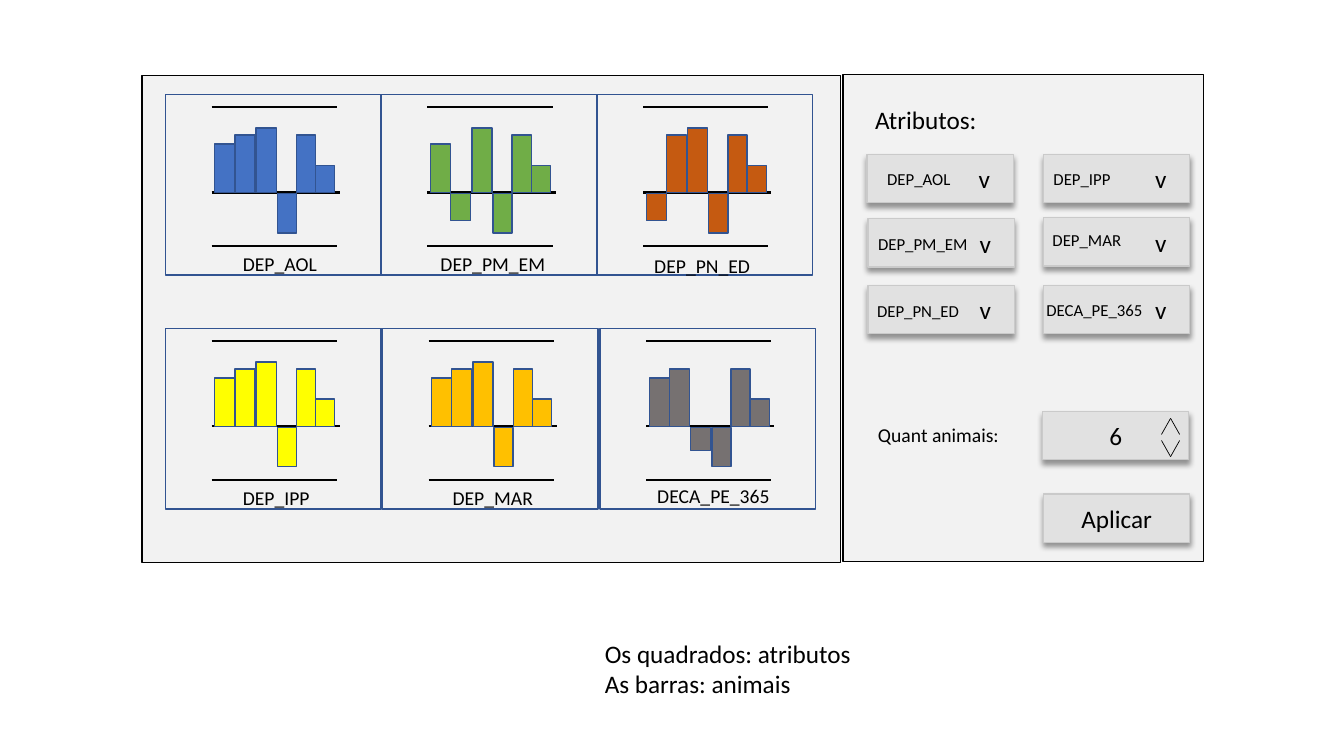
from dataclasses import dataclass

from lxml import etree
from pptx import Presentation
from pptx.dml.color import RGBColor
from pptx.enum.shapes import MSO_CONNECTOR, MSO_SHAPE
from pptx.enum.text import MSO_ANCHOR, MSO_AUTO_SIZE, PP_ALIGN
from pptx.oxml.ns import qn
from pptx.shapes.autoshape import Shape
from pptx.shapes.shapetree import GroupShapes, SlideShapes
from pptx.text.text import TextFrame
from pptx.util import Inches, Pt

RECTANGLE = MSO_SHAPE.RECTANGLE
STRAIGHT = MSO_CONNECTOR.STRAIGHT
MIDDLE = MSO_ANCHOR.MIDDLE
FIT_SHAPE = MSO_AUTO_SIZE.SHAPE_TO_FIT_TEXT
LEFT, CENTER, RIGHT = PP_ALIGN.LEFT, PP_ALIGN.CENTER, PP_ALIGN.RIGHT

FONT = "Calibri"
COLORS = {
    "black": "000000",
    "panel": "F2F2F2",
    "button": "E1E1E1",
    "button_line": "CACACA",
    "outline": "325491",
    "blue": "4472C4",
    "green": "70AD47",
    "rust": "C55A11",
    "yellow": "FFFF00",
    "amber": "FFC000",
    "gray": "767171",
}

CHART_SIZE = (2.14, 1.79)
BASELINE = 0.97
DROP_GAP = 0.01
LIMITS = (0.12, 1.5)
LINE_START, LIMIT_END, BASELINE_END = 0.46, 1.7, 1.73
BAR_LEFTS = (0.49, 0.69, 0.9, 1.11, 1.3, 1.49)
BAR_WIDTHS = (0.2, 0.2, 0.2, 0.19, 0.19, 0.19)
BUTTON_SIZE = (1.45, 0.48)

Tree = SlideShapes | GroupShapes


@dataclass(frozen=True)
class BarPanel:
    left: float
    top: float
    color: str
    heights: tuple[float, ...]


@dataclass(frozen=True)
class Label:
    lines: tuple[str, ...]
    left: float
    top: float
    width: float
    height: float
    size: int
    wrap: bool = True


@dataclass(frozen=True)
class Button:
    left: float
    top: float
    text: str = "v"
    align: PP_ALIGN = RIGHT


USUAL = (0.48, 0.57, 0.64, -0.39, 0.57, 0.27)
BAR_PANELS = (
    BarPanel(1.64, 0.94, "blue", USUAL),
    BarPanel(3.78, 0.94, "green", (0.48, -0.27, 0.64, -0.39, 0.57, 0.27)),
    BarPanel(5.92, 0.94, "rust", (-0.27, 0.57, 0.64, -0.39, 0.57, 0.27)),
    BarPanel(1.64, 3.26, "yellow", USUAL),
    BarPanel(3.79, 3.26, "amber", USUAL),
    BarPanel(5.95, 3.26, "gray", (0.48, 0.57, -0.23, -0.39, 0.57, 0.27)),
)
BUTTONS = (
    Button(8.6, 1.53),
    Button(8.61, 2.17),
    Button(8.61, 2.83),
    Button(10.35, 1.53),
    Button(10.35, 2.16),
    Button(10.35, 2.83),
    Button(10.34, 4.08, "6", CENTER),
    Button(10.35, 4.9, "Aplicar", CENTER),
)
LABELS = (
    Label(("DEP_AOL",), 2.31, 2.45, 1.08, 0.34, 14),
    Label(("DEP_PM_EM",), 4.27, 2.45, 1.25, 0.34, 14),
    Label(("DEP_PN_ED",), 6.39, 2.47, 1.25, 0.34, 14),
    Label(("DEP_IPP",), 2.31, 4.77, 1.01, 0.34, 14),
    Label(("DEP_MAR",), 4.39, 4.77, 1.02, 0.34, 14),
    Label(("DECA_PE_365",), 6.42, 4.75, 1.47, 0.34, 14),
    Label(("DEP_AOL",), 8.7, 1.62, 1.08, 0.3, 12),
    Label(("DEP_PM_EM",), 8.61, 2.27, 1.25, 0.3, 12),
    Label(("DEP_PN_ED",), 8.6, 2.93, 1.25, 0.3, 12),
    Label(("DEP_IPP",), 10.35, 1.62, 1.01, 0.3, 12),
    Label(("DEP_MAR",), 10.34, 2.23, 1.02, 0.3, 12),
    Label(("DECA_PE_365",), 10.28, 2.92, 1.44, 0.3, 12),
    Label(("Quant animais:",), 8.61, 4.15, 1.47, 0.34, 14),
    Label(("Atributos:",), 8.58, 0.99, 1.22, 0.4, 18, False),
    Label(("Os quadrados: atributos", "As barras: animais"), 5.9, 6.28, 3.08, 0.71, 18),
)


def rgb(name: str) -> RGBColor:
    return RGBColor.from_string(COLORS[name])


def add_box(tree: Tree, left: float, top: float, width: float, height: float,
            fill: str | None, line: str) -> Shape:
    box = tree.add_shape(RECTANGLE, Inches(left), Inches(top), Inches(width), Inches(height))
    box.shadow.inherit = False
    if fill:
        box.fill.solid()
        box.fill.fore_color.rgb = rgb(fill)
    else:
        box.fill.background()
    box.line.color.rgb = rgb(line)
    box.line.width = Pt(1)
    return box


def add_line(tree: Tree, start: tuple[float, float], end: tuple[float, float],
             weight: float) -> None:
    line = tree.add_connector(STRAIGHT, *(Inches(value) for value in start + end))
    line.line.color.rgb = rgb("black")
    line.line.width = Pt(weight)
    etree.SubElement(line._element.spPr, qn("a:effectLst"))


def write_lines(frame: TextFrame, lines: tuple[str, ...], size: int, align: PP_ALIGN) -> None:
    for index, text in enumerate(lines):
        para = frame.add_paragraph() if index else frame.paragraphs[0]
        para.alignment = align
        span = para.add_run()
        span.text = text
        span.font.name = FONT
        span.font.size = Pt(size)
        span.font.color.rgb = rgb("black")


def add_label(tree: Tree, label: Label) -> None:
    box = tree.add_textbox(Inches(label.left), Inches(label.top),
                           Inches(label.width), Inches(label.height))
    box.text_frame.word_wrap = label.wrap
    box.text_frame.auto_size = FIT_SHAPE
    write_lines(box.text_frame, label.lines, label.size, LEFT)


def add_drop_shadow(box: Shape) -> None:
    effects = box._element.spPr.find(qn("a:effectLst"))
    shadow = etree.SubElement(effects, qn("a:outerShdw"), blurRad=str(Pt(4)), dist=str(Pt(3)),
                              dir="5400000", algn="t", rotWithShape="0")
    color = etree.SubElement(shadow, qn("a:srgbClr"), val=COLORS["black"])
    etree.SubElement(color, qn("a:alpha"), val="40000")


def add_button(tree: Tree, button: Button) -> None:
    box = add_box(tree, button.left, button.top, *BUTTON_SIZE, "button", "button_line")
    add_drop_shadow(box)
    frame = box.text_frame
    frame.vertical_anchor = MIDDLE
    if button.align == RIGHT:
        frame.margin_right = Inches(0.23)
    write_lines(frame, (button.text,), 18, button.align)


def add_bar_panel(tree: Tree, panel: BarPanel) -> None:
    group = tree.add_group_shape().shapes
    left, baseline = panel.left, panel.top + BASELINE
    add_box(group, left, panel.top, *CHART_SIZE, None, "outline")
    add_line(group, (left + LINE_START, baseline), (left + BASELINE_END, baseline), 1.5)
    for offset, width, height in zip(BAR_LEFTS, BAR_WIDTHS, panel.heights):
        top = baseline - height if height > 0 else baseline + DROP_GAP
        add_box(group, left + offset, top, width, abs(height), panel.color, "outline")
    for limit in LIMITS:
        level = panel.top + limit
        add_line(group, (left + LINE_START, level), (left + LIMIT_END, level), 1.5)


def add_spinner_arrow(tree: Tree, tip: float, base: float) -> None:
    group = tree.add_group_shape().shapes
    for end in (11.52, 11.7):
        add_line(group, (11.61, tip), (end, base), 0.5)


def main() -> None:
    deck = Presentation()
    deck.slide_width, deck.slide_height = Inches(13.33), Inches(7.5)
    page = deck.slides.add_slide(deck.slide_layouts[6])
    tree = page.shapes
    add_box(tree, 1.41, 0.75, 6.93, 4.83, "panel", "black")
    add_box(tree, 8.36, 0.74, 3.58, 4.83, "panel", "black")
    for panel in BAR_PANELS:
        add_bar_panel(tree, panel)
    for button in BUTTONS:
        add_button(tree, button)
    for label in LABELS:
        add_label(tree, label)
    add_spinner_arrow(tree, 4.15, 4.31)
    add_spinner_arrow(tree, 4.53, 4.37)
    deck.save("out.pptx")


if __name__ == "__main__":
    main()
